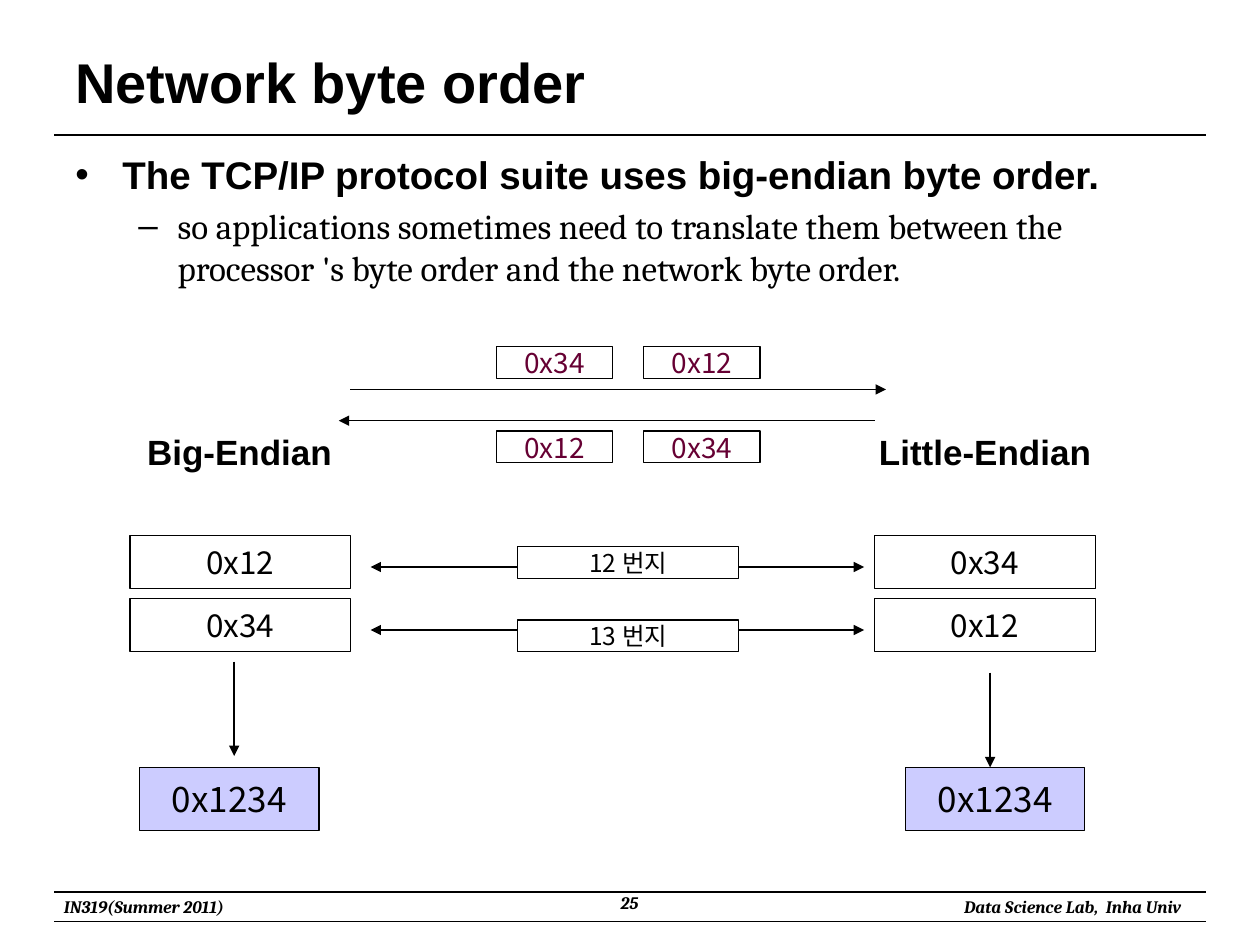
import pptx
import pptx.util
import pptx.dml.color
import pptx.enum.shapes
import pptx.enum.text
import pptx.oxml.ns
from lxml import etree

Cm = pptx.util.Cm
Pt = pptx.util.Pt
ALIGN = pptx.enum.text.PP_ALIGN
ANCHOR = pptx.enum.text.MSO_ANCHOR
qn = pptx.oxml.ns.qn

HEADING, SERIF, KOREAN = "Arial", "Cambria", "Noto Sans CJK KR"
BLACK, WHITE, LILAC, PLUM = "000000", "FFFFFF", "CCCCFF", "660033"

TITLE = "Network byte order"
BULLETS = [
    ("•", "The TCP/IP protocol suite uses big-endian byte order.", 22, HEADING, True, 0.95, 0.95),
    ("–", "so applications sometimes need to translate them between the processor 's byte order "
     "and the network byte order.", 20, SERIF, False, 2.06, 0.79),
]
FOOTERS = [
    ("IN319(Summer 2011)", (1.04, 17.93, 4.39, 0.69), ALIGN.LEFT),
    ("Data Science Lab,  Inha Univ", (18.19, 17.93, 5.87, 0.69), ALIGN.RIGHT),
    ("25", (9.73, 17.86, 5.92, 0.79), ALIGN.CENTER),
]
RULE_TOPS = [2.72, 17.98, 18.57]
HOSTS = [
    {"name": "Big-Endian", "label": 2.39, "memory": 2.62, "bytes": ["0x12", "0x34"],
     "value": 2.82, "arrow": (4.72, 13.34, 4.72, 15.24)},
    {"name": "Little-Endian", "label": 17.42, "memory": 17.63, "bytes": ["0x34", "0x12"],
     "value": 18.26, "arrow": (19.96, 13.56, 19.96, 15.47)},
]
ADDRESSES = [("12 번지", 11.02), ("13 번지", 12.5)]
TRANSFERS = [
    (["0x34", "0x12"], 6.99, (7.06, 7.85, 17.86, 7.85)),
    (["0x12", "0x34"], 8.69, (17.63, 8.48, 6.83, 8.48)),
]
MEMORY_TOP, MEMORY_PITCH = 10.8, 1.27
PACKET_LEFT, PACKET_PITCH = 10.01, 2.97


def color(value):
    return pptx.dml.color.RGBColor.from_string(value)


def style(para, size, font, ink=BLACK, bold=False, italic=False):
    for span in para.runs:
        span.font.size = Pt(size)
        span.font.name = font
        span.font.bold = bold
        span.font.italic = italic
        span.font.color.rgb = color(ink)
        if font == KOREAN:
            etree.SubElement(span.font._element, qn("a:ea"), typeface=font)


def add_text(page, text, place, size, font, align=ALIGN.LEFT, anchor=ANCHOR.TOP, **look):
    box = page.shapes.add_textbox(*map(Cm, place))
    frame = box.text_frame
    frame.word_wrap = True
    frame.vertical_anchor = anchor
    para = frame.paragraphs[0]
    para.text = text
    para.alignment = align
    style(para, size, font, **look)


def add_box(page, text, place, size, fill=WHITE, ink=BLACK):
    box = page.shapes.add_shape(pptx.enum.shapes.MSO_SHAPE.RECTANGLE, *map(Cm, place))
    box.shadow.inherit = False
    box.fill.solid()
    box.fill.fore_color.rgb = color(fill)
    box.line.color.rgb = color(BLACK)
    box.line.width = Pt(0.75)
    frame = box.text_frame
    frame.word_wrap = False
    frame.vertical_anchor = ANCHOR.MIDDLE
    para = frame.paragraphs[0]
    para.text = text
    para.alignment = ALIGN.CENTER
    style(para, size, KOREAN, ink)


def add_line(page, ends, arrows=()):
    line = page.shapes.add_connector(pptx.enum.shapes.MSO_CONNECTOR.STRAIGHT, *map(Cm, ends))
    line.line.color.rgb = color(BLACK)
    line.line.width = Pt(0.75)
    stroke = line.line._get_or_add_ln()
    for end in arrows:
        etree.SubElement(stroke, qn("a:" + end), type="triangle")
    etree.SubElement(line._element.spPr, qn("a:effectLst"))


def add_bullets(page):
    frame = page.shapes.add_textbox(Cm(1.27), Cm(2.92), Cm(22.86), Cm(14.1)).text_frame
    frame.word_wrap = True
    for index, (mark, text, size, font, bold, indent, hang) in enumerate(BULLETS):
        para = frame.add_paragraph() if index else frame.paragraphs[0]
        para.text = text
        para.level = index
        para.space_before = Pt(4 * index)
        layout = para._p.get_or_add_pPr()
        layout.set("marL", str(Cm(indent)))
        layout.set("indent", str(-Cm(hang)))
        etree.SubElement(layout, qn("a:buFont"), typeface=HEADING)
        etree.SubElement(layout, qn("a:buChar"), char=mark)
        style(para, size, font, bold=bold)


def main():
    deck = pptx.Presentation()
    deck.slide_width, deck.slide_height = Cm(25.4), Cm(19.05)
    page = deck.slides.add_slide(deck.slide_layouts[6])

    for top in RULE_TOPS:
        add_line(page, (1.09, top, 24.31, top))
    for text, place, align in FOOTERS:
        add_text(page, text, place, 10, SERIF, align, bold=True, italic=True)
    add_text(page, TITLE, (1.27, 0.76, 22.86, 1.75), 32, HEADING, anchor=ANCHOR.MIDDLE, bold=True)
    add_bullets(page)

    for host in HOSTS:
        add_text(page, host["name"], (host["label"], 8.69, 4.88, 0.84), 20, HEADING,
                 ALIGN.CENTER, ANCHOR.MIDDLE, bold=True)
        for row, byte in enumerate(host["bytes"]):
            add_box(page, byte, (host["memory"], MEMORY_TOP + row * MEMORY_PITCH, 4.45, 1.07), 18)
        add_box(page, "0x1234", (host["value"], 15.47, 3.61, 1.27), 20, fill=LILAC)
        add_line(page, host["arrow"], ["tailEnd"])

    for row, (address, top) in enumerate(ADDRESSES):
        middle = 11.43 + row * MEMORY_PITCH
        add_line(page, (7.47, middle, 17.42, middle), ["headEnd", "tailEnd"])
        add_box(page, address, (10.44, top, 4.45, 0.64), 14)

    for packets, top, arrow in TRANSFERS:
        add_line(page, arrow, ["tailEnd"])
        for column, byte in enumerate(packets):
            add_box(page, byte, (PACKET_LEFT + column * PACKET_PITCH, top, 2.34, 0.64), 16, ink=PLUM)

    deck.save("out.pptx")


if __name__ == "__main__":
    main()
